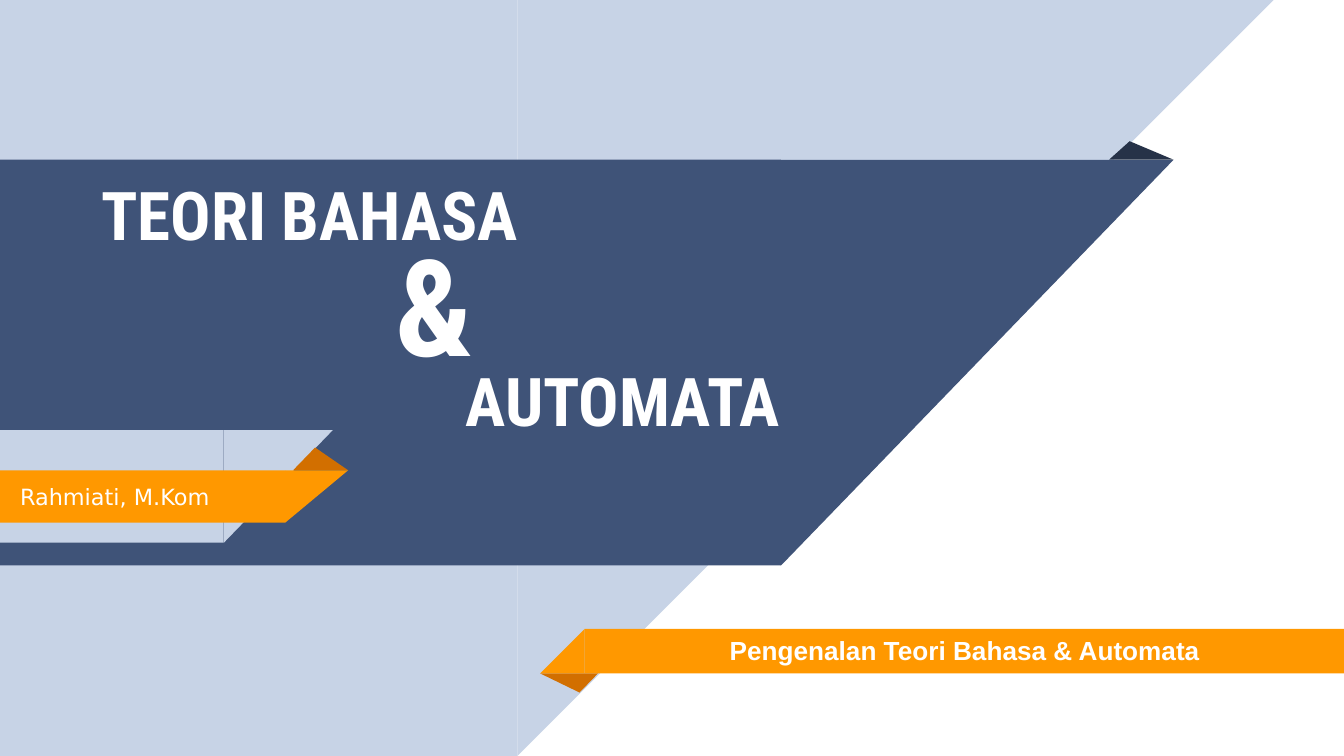
import pptx
import pptx.util
import pptx.dml.color
import pptx.enum.shapes
import pptx.enum.text

Cm = pptx.util.Cm
SHAPE = pptx.enum.shapes.MSO_SHAPE
ALIGN = pptx.enum.text.PP_ALIGN
COLORS = {
    "white": "FFFFFF", "pale": "C7D3E6", "navy": "3F5378",
    "navy_fold": "263248", "orange": "FF9800", "orange_fold": "D26F00",
}
WIDTH, HEIGHT = 25.4, 14.29
HEADLINE = {"name": "Roboto Condensed", "size": pptx.util.Pt(36), "bold": True}
AMPERSAND = {**HEADLINE, "size": pptx.util.Pt(72)}
SUBTITLE = {"name": "Arial", "size": pptx.util.Pt(14), "bold": True}
AUTHOR = {"name": "DejaVu Sans", "size": pptx.util.Pt(12), "bold": False}


def rgb(color):
    return pptx.dml.color.RGBColor.from_string(COLORS[color])


def add_piece(page, kind, box, color, rotation=0, mirrored=False):
    piece = page.shapes.add_shape(kind, *map(Cm, box))
    piece.shadow.inherit = False
    piece.fill.solid()
    piece.fill.fore_color.rgb = rgb(color)
    piece.line.fill.background()
    piece.rotation = rotation
    if mirrored:
        piece._element.spPr.get_or_add_xfrm().set("flipH", "1")
    return piece


def add_band(page, box, slant, color):
    """Band whose right end slants inwards towards the bottom."""
    left, top, width, height = box
    body = width - slant
    add_piece(page, SHAPE.RECTANGLE, (left, top, body, height), color)
    add_piece(page, SHAPE.RIGHT_TRIANGLE, (left + body, top, slant, height),
              color, rotation=180, mirrored=True)


def add_fold(page, box, color, peak, rotation=0):
    fold = add_piece(page, SHAPE.ISOSCELES_TRIANGLE, box, color, rotation)
    fold.adjustments[0] = peak


def write(page, box, text, font, align=ALIGN.CENTER, spacing=1.0, holder=None):
    if holder is None:
        holder = page.shapes.add_textbox(0, 0, 0, 0)
    else:  # bring the placeholder in front of the bands
        holder.element.getparent().append(holder.element)
    for name, value in zip(("left", "top", "width", "height"), box):
        setattr(holder, name, Cm(value))
    frame = holder.text_frame
    frame_format = {
        "word_wrap": True,
        "auto_size": pptx.enum.text.MSO_AUTO_SIZE.NONE,
        "vertical_anchor": pptx.enum.text.MSO_ANCHOR.MIDDLE,
        **{f"margin_{side}": Cm(0.25) for side in ("left", "top", "right", "bottom")},
    }
    for name, value in frame_format.items():
        setattr(frame, name, value)
    para = frame.paragraphs[0]
    para.alignment, para.line_spacing = align, spacing
    para.space_before = pptx.util.Pt(0)
    span = para.add_run()
    span.text = text
    for name, value in font.items():
        setattr(span.font, name, value)
    span.font.color.rgb = rgb("white")


def add_title_band(page, box):
    left, top, width, height = box
    add_fold(page, (left + width - 1.22, top - 0.35, 1.22, 0.35), "navy_fold", 0.32)
    add_band(page, box, 7.42, "navy")
    write(page, (left + 0.51, top + 0.28, 10.69, 1.78), "TEORI BAHASA", HEADLINE, spacing=0.8)
    write(page, (left + 6.43, top + 1.81, 3.56, 1.78), "&", AMPERSAND, holder=page.shapes.title)
    write(page, (left + 6.4, top + 3.79, 10.74, 1.78), "AUTOMATA", HEADLINE, spacing=0.8)


def add_subtitle_ribbon(page, box):
    left, top, width, height = box
    add_fold(page, (left, top + height, 1.09, 0.36), "orange_fold", 0.32, rotation=180)
    add_piece(page, SHAPE.RECTANGLE, (left + height, top, width - height, height), "orange")
    add_piece(page, SHAPE.RIGHT_TRIANGLE, (left, top, height, height), "orange", mirrored=True)
    write(page, (left + 0.99, top - 0.1, 14.07, 0.99), "Pengenalan Teori Bahasa & Automata",
          SUBTITLE, holder=page.placeholders[1])


def add_author_ribbon(page, box):
    left, top, width, height = box
    add_band(page, (left, top, 6.29, height), 2.06, "pale")
    add_fold(page, (left + width - 1.04, top + 0.33, 1.04, 0.43), "orange_fold", 0.4)
    add_band(page, (left, top + 0.76, width, 0.99), 1.19, "orange")
    write(page, (left + 0.13, top + 0.76, 6.48, 0.99), "Rahmiati, M.Kom", AUTHOR, ALIGN.LEFT)


deck = pptx.Presentation()
deck.slide_width, deck.slide_height = Cm(WIDTH), Cm(HEIGHT)
page = deck.slides.add_slide(deck.slide_layouts[0])
page.background.fill.solid()
page.background.fill.fore_color.rgb = rgb("white")

# Backdrop, then the three regions from back to front
add_band(page, (0, 0, 24.07, HEIGHT), HEIGHT, "pale")
add_title_band(page, (0, 3.02, 22.18, 7.67))
add_subtitle_ribbon(page, (10.21, 11.89, WIDTH - 10.21, 0.84))
add_author_ribbon(page, (0, 8.13, 6.58, 2.13))

deck.save("out.pptx")
